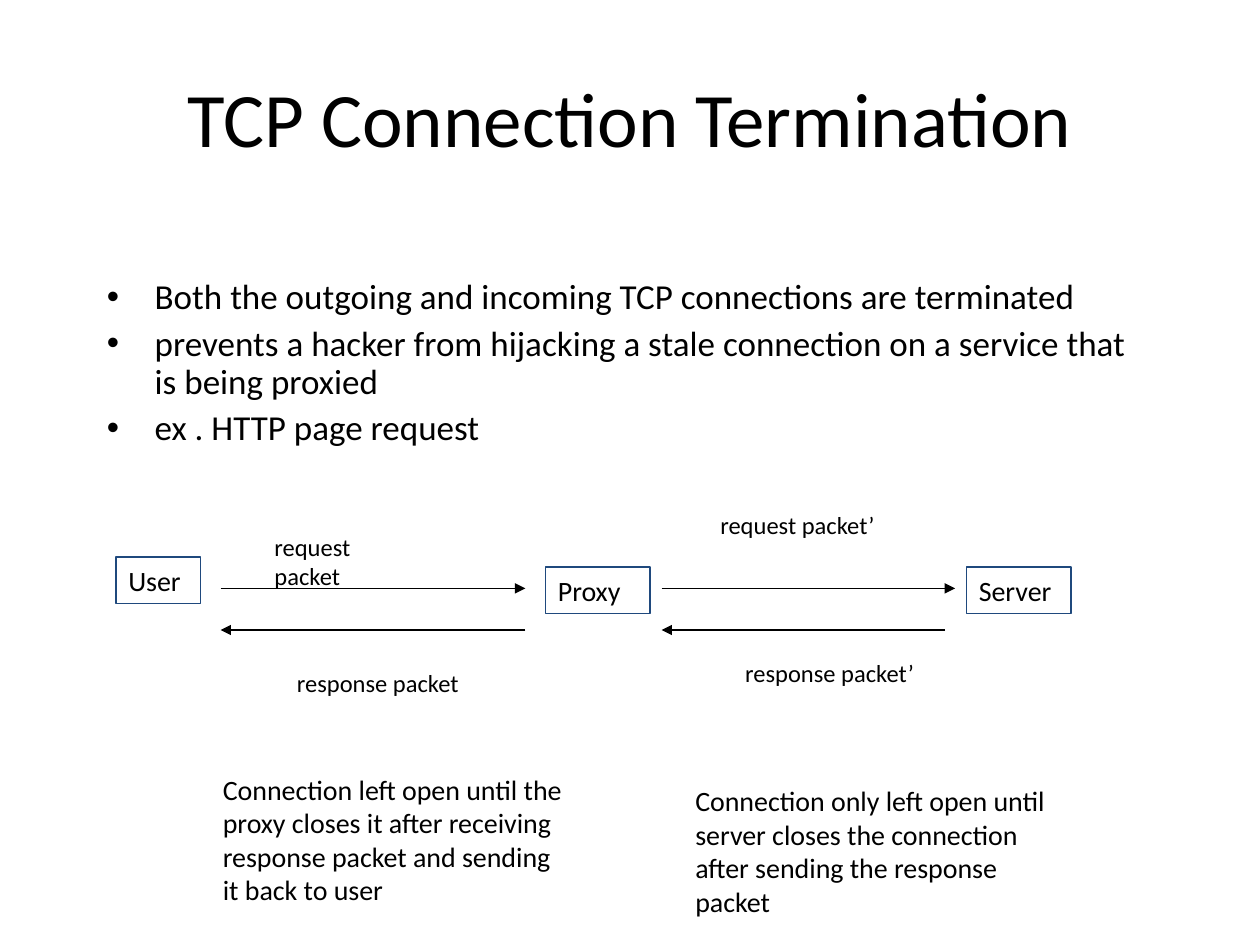
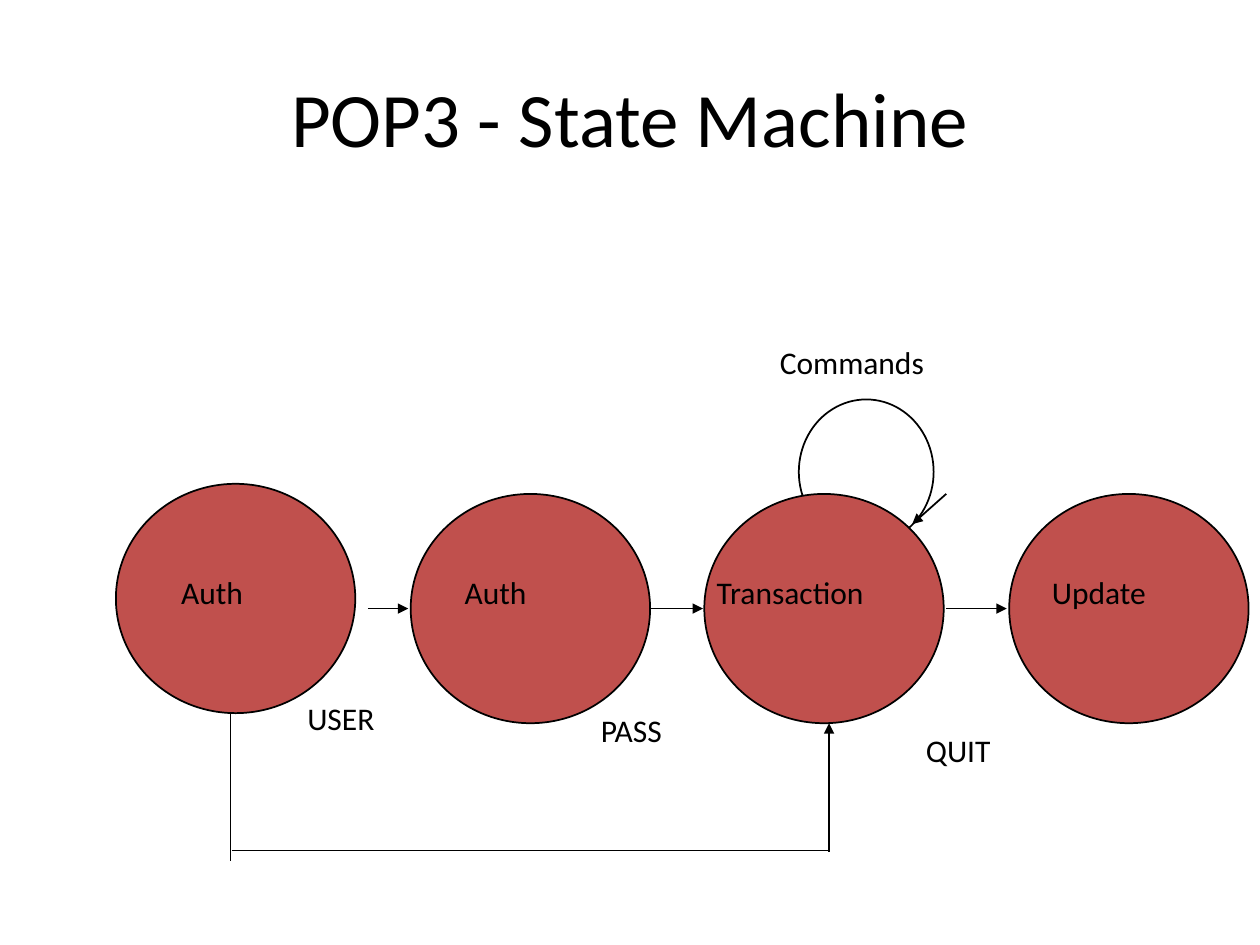
from pptx import Presentation
from pptx.dml.color import RGBColor
from pptx.enum.shapes import MSO_CONNECTOR as Conn, MSO_SHAPE as Kind
from pptx.enum.text import MSO_ANCHOR as Anchor, PP_ALIGN as Align
from pptx.oxml.ns import qn
from pptx.util import Inches, Pt
from lxml import etree

INK, NAVY, RED, WHITE = "000000", "1F497D", "C0504D", "FFFFFF"
FACE = "Calibri"
TITLE = (0.5, 0.3, 9, 1.25)


def paint(code):
    """Turn a hex string into a colour."""
    return RGBColor.from_string(code)


def apply(item, form):
    """Set each format value on an item."""
    for name, value in form.items():
        setattr(item, name, value)


def place(org, box):
    """Move a box by an origin and return lengths."""
    return [Inches(v) for v in (org[0] + box[0], org[1] + box[1], *box[2:])]


def style(para, size, align=Align.LEFT):
    """Give a paragraph the common type style."""
    para.alignment = align
    apply(para.font, {"size": Pt(size), "name": FACE})
    para.font.color.rgb = paint(INK)


def fill_text(shape, text, size, align=Align.LEFT, anchor=Anchor.TOP):
    """Write one paragraph into a shape."""
    frame = shape.text_frame
    apply(frame, {"word_wrap": True, "vertical_anchor": anchor})
    para = frame.paragraphs[0]
    para.text = text
    style(para, size, align)


def label(slide, org, box, text, size, align=Align.LEFT, anchor=Anchor.TOP):
    """Add a text box."""
    shape = slide.shapes.add_textbox(*place(org, box))
    fill_text(shape, text, size, align, anchor)


def figure(slide, org, kind, box, line, width, fill=None):
    """Add an outlined shape, with a fill if one is given."""
    shape = slide.shapes.add_shape(kind, *place(org, box))
    shape.shadow.inherit = False
    if fill:
        shape.fill.solid()
        shape.fill.fore_color.rgb = paint(fill)
    else:
        shape.fill.background()
    shape.line.color.rgb = paint(line)
    shape.line.width = Pt(width)
    return shape


def link(slide, org, ends, width, arrow=True):
    """Add a straight line that may end in an arrowhead."""
    x1, y1, x2, y2 = ends
    start, stop = place(org, (x1, y1)), place(org, (x2, y2))
    wire = slide.shapes.add_connector(Conn.STRAIGHT, *start, *stop)
    wire.line.color.rgb = paint(INK)
    wire.line.width = Pt(width)
    props = wire._element.spPr
    if arrow:
        etree.SubElement(props.find(qn("a:ln")), qn("a:tailEnd"), type="triangle")
    etree.SubElement(props, qn("a:effectLst"))


def start(deck, title):
    """Add a slide with its title."""
    slide = deck.slides.add_slide(deck.slide_layouts[6])
    label(slide, (0, 0), TITLE, title, 44, Align.CENTER, Anchor.MIDDLE)
    return slide


def points(slide, box, lines):
    """Add a bullet list."""
    frame = slide.shapes.add_textbox(*place((0, 0), box)).text_frame
    frame.word_wrap = True
    for i, text in enumerate(lines):
        para = frame.add_paragraph() if i else frame.paragraphs[0]
        para.text = text
        apply(para, {"line_spacing": 0.9, "space_before": Pt(5 if i else 0)})
        props = para._p.get_or_add_pPr()
        props.set("marL", str(Inches(0.38)))
        props.set("indent", str(-Inches(0.38)))
        tint = etree.SubElement(props, qn("a:buClr"))
        etree.SubElement(tint, qn("a:srgbClr"), val=INK)
        etree.SubElement(props, qn("a:buFont"), typeface="Arial")
        etree.SubElement(props, qn("a:buChar"), char="•")
        style(para, 20)


def traffic(slide, org):
    """Draw packets passing between user, proxy and server."""
    nodes = [("User", 0, 0.42, 0.67), ("Proxy", 3.41, 0.5, 0.83),
             ("Server", 6.75, 0.5, 0.83)]
    for name, x, y, wide in nodes:
        node = figure(slide, org, Kind.RECTANGLE, (x, y, wide, 0.37), NAVY, 0.75)
        fill_text(node, name, 16)
    for x1, x2, y in [(0.83, 3.25, 0.67), (4.33, 6.66, 0.67),
                      (6.58, 4.33, 1), (3.25, 0.83, 1)]:
        link(slide, org, (x1, y, x2, y), 0.75)
    label(slide, org, (1.16, 0.17, 1.33, 0.57), "request packet", 14)
    for text, x, y, wide in [("request packet’", 4.66, 0, 1.5),
                             ("response packet’", 4.83, 1.17, 1.67),
                             ("response packet", 1.33, 1.25, 1.5)]:
        label(slide, org, (x, y, wide, 0.34), text, 14, Align.CENTER)
    label(slide, org, (0.75, 2.08, 2.92, 1.17),
          "Connection left open until the proxy closes it after receiving "
          "response packet and sending it back to user", 16)
    label(slide, org, (4.5, 2.17, 3.17, 1.17),
          "Connection only left open until server closes the connection "
          "after sending the response packet", 16)


def machine(slide, org):
    """Draw the states, their moves and the command loop."""
    figure(slide, org, Kind.OVAL, (5.42, 0.5, 1.07, 1.15), INK, 1, WHITE)
    for x, y in [(0, 1.17), (2.34, 1.25), (4.67, 1.25), (7.09, 1.25)]:
        figure(slide, org, Kind.OVAL, (x, y, 1.9, 1.82), INK, 1, RED)
    for ends in [(0.91, 3, 0.91, 4.16), (0.92, 4.08, 5.66, 4.08)]:
        link(slide, org, ends, 1, False)
    link(slide, org, (5.66, 4.09, 5.66, 3.07), 1)
    for x1, x2 in [(2, 2.32), (4.25, 4.66), (6.59, 7.07)]:
        link(slide, org, (x1, 2.16, x2, 2.16), 1)
    link(slide, org, (6.59, 1.25, 6.32, 1.49), 1)
    names = [("Auth", 0.42, 1.83, 1), ("Auth", 2.67, 1.83, 1.16),
             ("Transaction", 4.67, 1.83, 2), ("Update", 7.33, 1.83, 1.66),
             ("USER", 1.42, 2.83, 1.25), ("PASS", 3.75, 2.92, 1.33),
             ("Commands", 5.17, 0, 2.08), ("QUIT", 6.33, 3.08, 1.16)]
    for text, x, y, wide in names:
        label(slide, org, (x, y, wide, 0.4), text, 18)


def main():
    """Build and save the deck."""
    deck = Presentation()
    apply(deck, {"slide_width": Inches(10), "slide_height": Inches(7.5)})
    slide = start(deck, "TCP Connection Termination")
    points(slide, (0.75, 2.17, 8.5, 1.5), [
        "Both the outgoing and incoming TCP connections are terminated",
        "prevents a hacker from hijacking a stale connection on a service "
        "that is being proxied",
        "ex . HTTP page request"])
    traffic(slide, (0.92, 4))
    machine(start(deck, "POP3 - State Machine"), (0.92, 2.67))
    deck.save("out.pptx")


if __name__ == "__main__":
    main()
